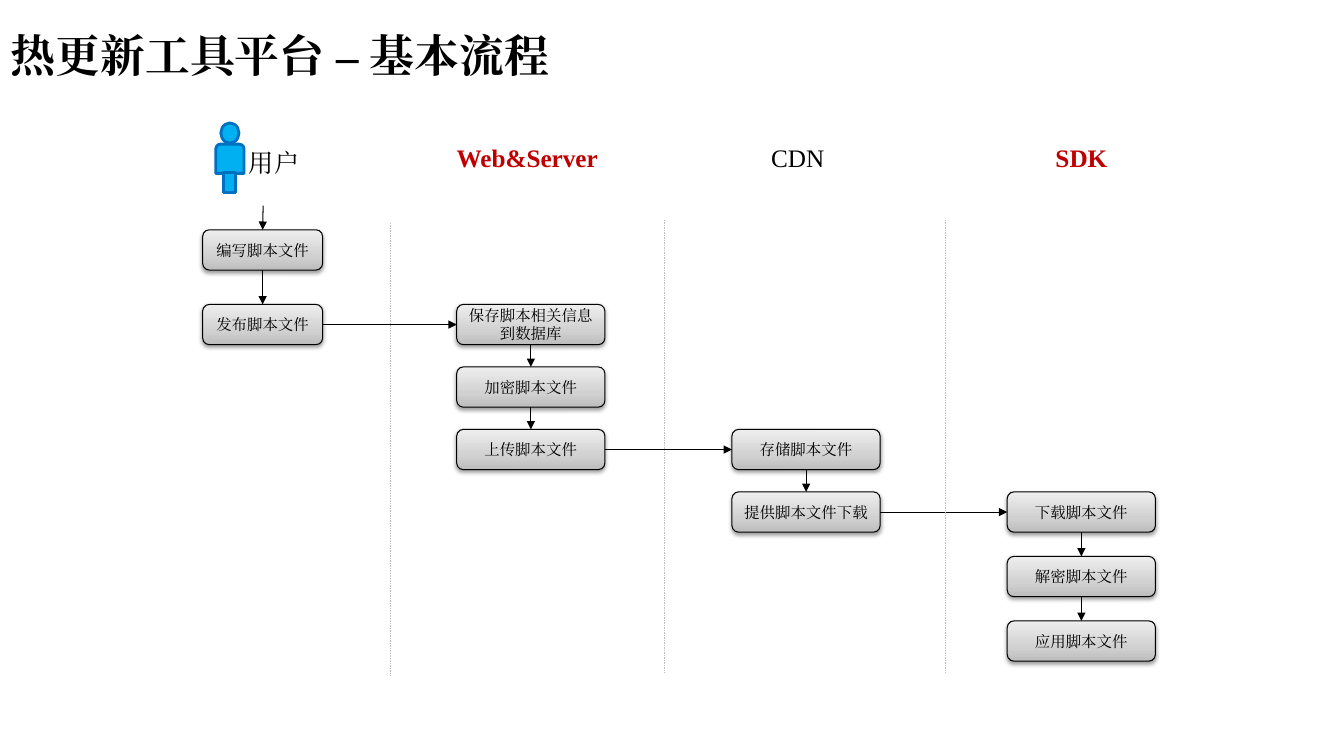
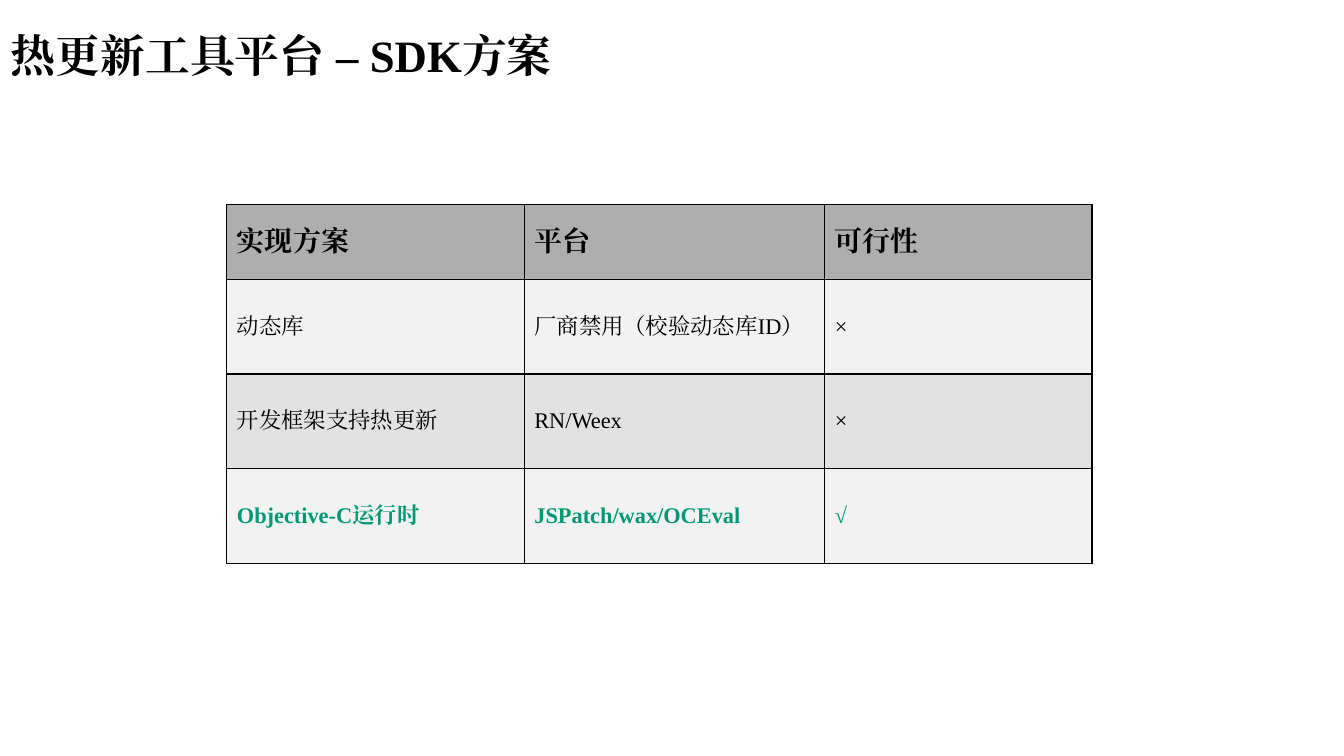
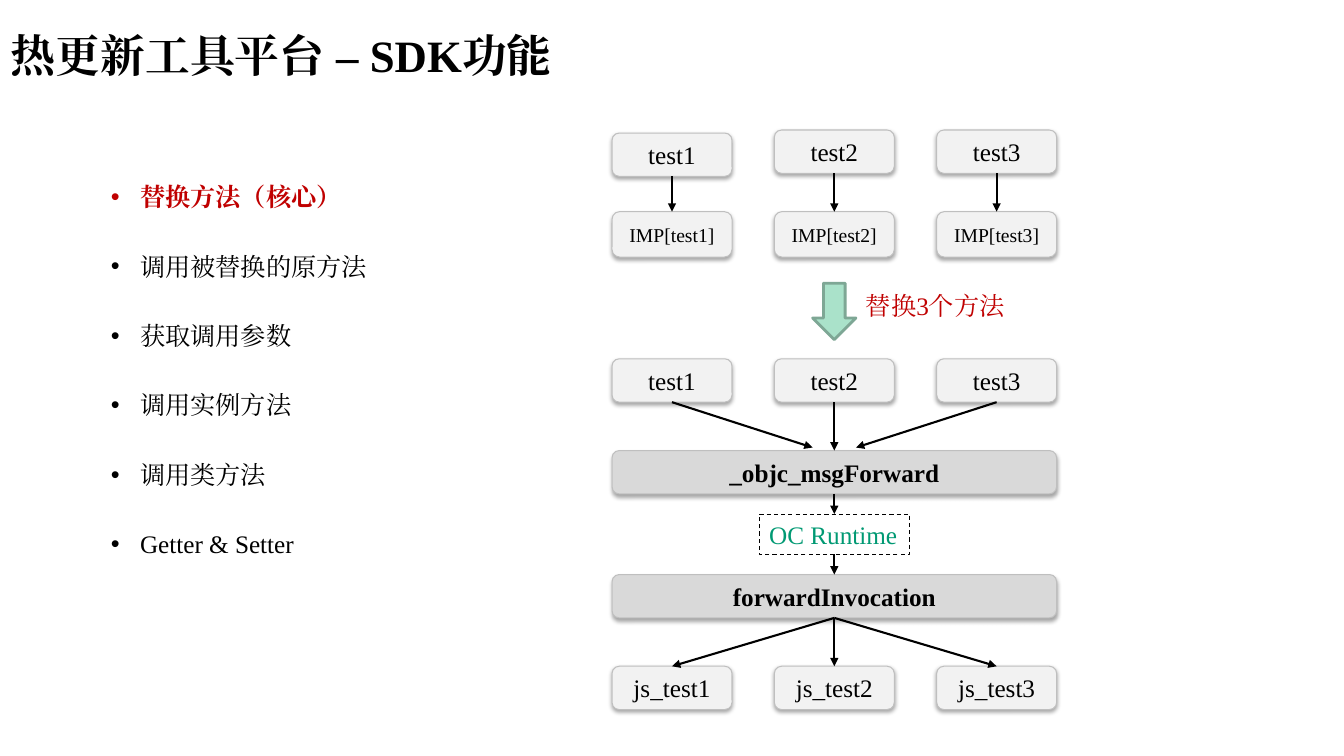
from lxml import etree
from pptx import Presentation
from pptx.dml.color import RGBColor
from pptx.enum.dml import MSO_LINE
from pptx.enum.shapes import MSO_CONNECTOR, MSO_SHAPE
from pptx.enum.text import MSO_ANCHOR, PP_ALIGN
from pptx.oxml.ns import qn
from pptx.util import Inches, Pt

ROUND = MSO_SHAPE.ROUNDED_RECTANGLE
RECT = MSO_SHAPE.RECTANGLE
OVAL = MSO_SHAPE.OVAL
TORSO = MSO_SHAPE.ROUND_2_SAME_RECTANGLE
ARROW = MSO_SHAPE.DOWN_ARROW
STRAIGHT = MSO_CONNECTOR.STRAIGHT
DASH = MSO_LINE.DASH
MIDDLE = MSO_ANCHOR.MIDDLE
TOPSIDE = MSO_ANCHOR.TOP
CENTER = PP_ALIGN.CENTER
LEFT = PP_ALIGN.LEFT

FONT = "Times New Roman"
BLACK, WHITE, RED, GREEN = "000000", "FFFFFF", "C00000", "009973"
SILVER, PALE, GRAY = "BFBFBF", "F2F2F2", "D9D9D9"
STEEL = [(0, "BDBDBD"), (35, "D1D1D1"), (100, "EEEEEE")]
TOP, WEST, FOOT, EAST = 0, 1, 2, 3


def rgb(code):
    return RGBColor.from_string(code)


def add(parent, tag, **attrs):
    node = etree.SubElement(parent, qn(tag))
    for key, value in attrs.items():
        node.set(key, str(value))
    return node


def write(frame, text, size=18, color=BLACK, bold=False, align=LEFT,
          anchor=TOPSIDE, wrap=True):
    for key, value in {"word_wrap": wrap, "vertical_anchor": anchor}.items():
        setattr(frame, key, value)
    for index, words in enumerate(text.split("\n")):
        para = frame.add_paragraph() if index else frame.paragraphs[0]
        para.alignment = align
        run = para.add_run()
        run.text = words
        for key, value in {"name": FONT, "size": Pt(size), "bold": bold}.items():
            setattr(run.font, key, value)
        run.font.color.rgb = rgb(color)
        props = run.font._element
        props.set("lang", "zh-CN")
        add(props, "a:ea", typeface=FONT)


def label(shapes, text, left, top, width, height, **style):
    area = shapes.add_textbox(*map(Inches, (left, top, width, height)))
    write(area.text_frame, text, **style)
    return area


def stroke(line, color, width, dash=None):
    line.color.rgb = rgb(color)
    for key, value in {"width": Pt(width), "dash_style": dash}.items():
        setattr(line, key, value)


def blend(shape, stops):
    shape.fill.gradient()
    shape.fill.gradient_angle = 90
    bag = next(shape._element.spPr.iter(qn("a:gsLst")))
    for old in list(bag):
        bag.remove(old)
    for spot, color in stops:
        add(add(bag, "a:gs", pos=spot * 1000), "a:srgbClr", val=color)


def shade(shape, alpha, drop):
    effects = shape._element.spPr.find(qn("a:effectLst"))
    outer = add(effects, "a:outerShdw", blurRad=Pt(3.1), dist=Pt(drop),
                dir=5400000, algn="t", rotWithShape=0)
    add(add(outer, "a:srgbClr", val=BLACK), "a:alpha", val=alpha * 1000)


def form(shapes, kind, left, top, width, height, fill, edge, weight):
    shape = shapes.add_shape(kind, *map(Inches, (left, top, width, height)))
    shape.shadow.inherit = False
    if isinstance(fill, list):
        blend(shape, fill)
    else:
        shape.fill.solid()
        shape.fill.fore_color.rgb = rgb(fill)
    stroke(shape.line, edge, weight)
    return shape


def card(shapes, text, left, top, width, height=0.43, fill=PALE, edge=SILVER,
         shadow=(35, 1.8), **style):
    shape = form(shapes, ROUND, left, top, width, height, fill, edge, 0.75)
    shade(shape, *shadow)
    write(shape.text_frame, text, align=CENTER, anchor=MIDDLE, **style)
    return shape


def wire(shapes, ends=(0, 0, 0, 0), weight=1.5, color=BLACK, dash=None, head=True):
    line = shapes.add_connector(STRAIGHT, *map(Inches, ends))
    stroke(line.line, color, weight, dash)
    if head:
        add(line.line._get_or_add_ln(), "a:tailEnd", type="triangle")
    add(line._element.spPr, "a:effectLst")
    return line


def link(shapes, start, end, sides=(FOOT, TOP), weight=1.5):
    line = wire(shapes, weight=weight)
    line.begin_connect(start, sides[0])
    line.end_connect(end, sides[1])


def page(deck, topic):
    slide = deck.slides.add_slide(deck.slide_layouts[6])
    slide.background.fill.solid()
    slide.background.fill.fore_color.rgb = rgb(WHITE)
    label(slide.shapes, "热更新工具平台 – " + topic, 0.01, 0.08, 8.77, 0.92,
          size=32, bold=True, anchor=MIDDLE)
    return slide.shapes


def person(shapes, left, top):
    group = shapes.add_group_shape().shapes
    for kind, dx, dy, width, height in [(OVAL, 0.05, 0, 0.18, 0.2),
                                        (TORSO, 0, 0.21, 0.28, 0.29),
                                        (RECT, 0.08, 0.49, 0.12, 0.2)]:
        form(group, kind, left + dx, top + dy, width, height,
             "00B0F0", "0070C0", 2)
    label(group, "用户", left + 0.23, top + 0.19, 0.71, 0.4, wrap=False)


def lane(shapes, left, top, width, step, texts):
    cards = [card(shapes, text, left, top + row * step, width, 0.4, STEEL, BLACK,
                  (38, 1.6), size=11) for row, text in enumerate(texts)]
    for start, end in zip(cards, cards[1:]):
        link(shapes, start, end, weight=0.75)
    return cards


def flow(deck):
    shapes = page(deck, "基本流程")
    person(shapes, 2.14, 1.22)
    for text, left, width, color in [("Web&Server", 4.43, 1.62, RED),
                                     ("CDN", 7.55, 0.73, BLACK),
                                     ("SDK", 10.37, 0.72, RED)]:
        label(shapes, text, left, 1.36, width, 0.4, color=color,
              bold=color == RED, wrap=False)
    lanes = [lane(shapes, *spec_row) for spec_row in [
        (2.01, 2.28, 1.19, 0.74, ["编写脚本文件", "发布脚本文件"]),
        (4.53, 3.02, 1.47, 0.62,
         ["保存脚本相关信息\n到数据库", "加密脚本文件", "上传脚本文件"]),
        (7.26, 4.26, 1.47, 0.62, ["存储脚本文件", "提供脚本文件下载"]),
        (9.99, 4.88, 1.47, 0.64, ["下载脚本文件", "解密脚本文件", "应用脚本文件"])]]
    for near, far in zip(lanes, lanes[1:]):
        link(shapes, near[-1], far[0], (EAST, WEST), 0.75)
    entry = wire(shapes, (2.61, 2.04, 2.61, 2.28), 0.75)
    entry.end_connect(lanes[0][0], TOP)
    for left, top in [(3.87, 2.21), (6.59, 2.18), (9.37, 2.18)]:
        wire(shapes, (left, top, left, top + 4.49), 0.25, SILVER, DASH, False)


def cell(spot, text, fill, **style):
    props = spot._tc.get_or_add_tcPr()
    for side in ("a:lnL", "a:lnR", "a:lnT", "a:lnB"):
        edge = add(props, side, w=Pt(1))
        add(add(edge, "a:solidFill"), "a:srgbClr", val=BLACK)
    spot.fill.solid()
    spot.fill.fore_color.rgb = rgb(fill)
    spot.vertical_anchor = MIDDLE
    write(spot.text_frame, text, anchor=MIDDLE, **style)


def plans(deck):
    shapes = page(deck, "SDK方案")
    head = {"size": 20, "bold": True}
    plain = {"size": 16}
    pick = {"size": 16, "bold": True, "color": GREEN}
    rows = [(0.74, "AEAEAE", head, ["实现方案", "平台", "可行性"]),
            (0.94, PALE, plain, ["动态库", "厂商禁用（校验动态库ID）", "×"]),
            (0.94, "E2E2E2", plain, ["开发框架支持热更新", "RN/Weex", "×"]),
            (0.94, PALE, pick, ["Objective-C运行时", "JSPatch/wax/OCEval", "√"])]
    grid = shapes.add_table(4, 3, *map(Inches, (2.25, 2.03, 8.58, 3.56))).table
    grid.horz_banding = False
    for column, width in zip(grid.columns, (2.95, 2.98, 2.65)):
        column.width = Inches(width)
    for index, (height, fill, style, texts) in enumerate(rows):
        grid.rows[index].height = Inches(height)
        for col, text in enumerate(texts):
            cell(grid.cell(index, col), text, fill, **style)


def points(shapes, left, top, width, height):
    area = label(shapes, "替换方法（核心）", left, top, width, height,
                 color=RED, bold=True)
    write_rest = "调用被替换的原方法", "获取调用参数", "调用实例方法", "调用类方法", "Getter & Setter"
    for text in write_rest:
        para = area.text_frame.add_paragraph()
        para.space_before = Pt(28)
        run = para.add_run()
        run.text = text
        for key, value in {"name": FONT, "size": Pt(18), "bold": False}.items():
            setattr(run.font, key, value)
        run.font.color.rgb = rgb(BLACK)
        run.font._element.set("lang", "zh-CN")
        add(run.font._element, "a:ea", typeface=FONT)
    for para in area.text_frame.paragraphs:
        props = para._p.get_or_add_pPr()
        props.set("marL", str(Inches(0.29)))
        props.set("indent", str(Inches(-0.29)))
        add(props, "a:buFont", typeface="Arial")
        add(props, "a:buChar", char="•")


def trio(shapes, pattern, left, tops, height=0.43, size=18):
    return [card(shapes, pattern.format(col + 1), left + col * 1.61, top, 1.19,
                 height, size=size) for col, top in enumerate(tops)]


def swap(shapes, left):
    mid = left + 2.21
    tests = trio(shapes, "test{}", left, (1.32, 1.29, 1.29))
    codes = trio(shapes, "IMP[test{}]", left, [2.1] * 3, 0.45, 14)
    for test, code in zip(tests, codes):
        link(shapes, test, code)
    form(shapes, ARROW, mid - 0.22, 2.81, 0.43, 0.56, "AAE2CA", "7EA795", 2)
    label(shapes, "替换3个方法", mid + 0.21, 2.83, 1.59, 0.4, color=RED)

    calls = trio(shapes, "test{}", left, [3.56] * 3)
    send, invoke = [card(shapes, text, left, top, 4.41, fill=GRAY, bold=True)
                    for text, top in [("_objc_msgForward", 4.47),
                                      ("forwardInvocation", 5.7)]]
    link(shapes, calls[1], send)
    for call, shift in [(calls[0], -0.22), (calls[2], 0.21)]:
        line = wire(shapes, (mid, 4, mid + shift, 4.44))
        line.begin_connect(call, FOOT)

    core = label(shapes, "OC Runtime", mid - 0.75, 5.1, 1.49, 0.4,
                 color=GREEN, wrap=False)
    stroke(core.line, BLACK, 0.75, DASH)
    link(shapes, send, core)
    link(shapes, core, invoke)
    for script in trio(shapes, "js_test{}", left, [6.61] * 3):
        link(shapes, invoke, script)


def features(deck):
    shapes = page(deck, "SDK功能")
    points(shapes, 1, 1.75, 3.61, 4.85)
    swap(shapes, 6.07)


def main():
    deck = Presentation()
    deck.slide_width = Inches(13.33)
    deck.slide_height = Inches(7.5)
    for build in (flow, plans, features):
        build(deck)
    deck.save("out.pptx")


if __name__ == "__main__":
    main()
